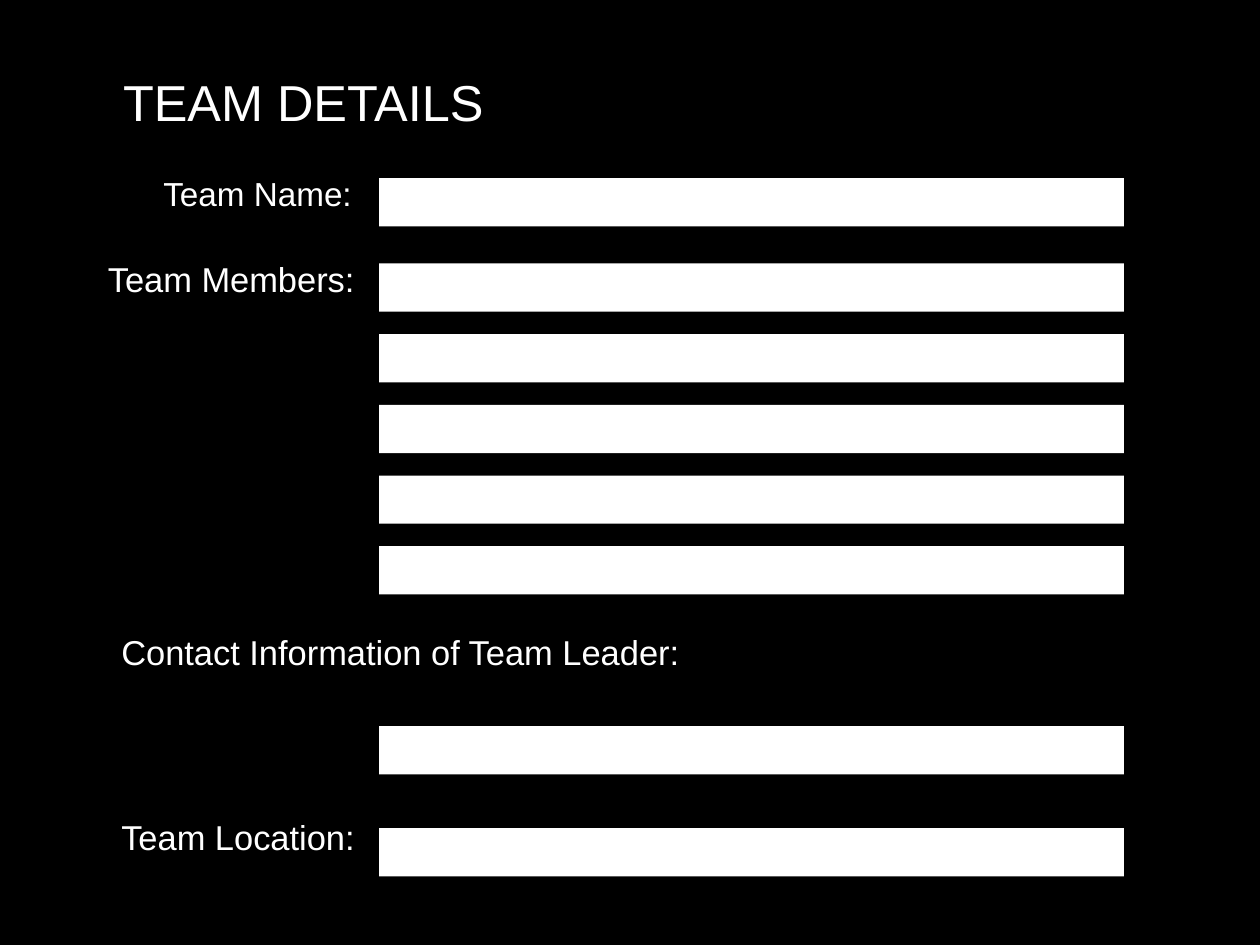
from dataclasses import dataclass

from pptx import Presentation
from pptx import util as u
from pptx.dml.color import RGBColor
from pptx.enum import shapes, text


@dataclass(frozen=True)
class Theme:
    """Colours, font and type sizes of the form."""
    back: str = "000000"
    fore: str = "FFFFFF"
    font: str = "Arial"
    title: int = 41
    name: int = 27
    label: int = 28


class Form:
    """A slide divided into 100 columns and 100 rows."""

    def __init__(self, deck, theme):
        """Add a blank slide with the theme's background."""
        self.theme = theme
        self.col = deck.slide_width / 100
        self.row = deck.slide_height / 100
        self.slide = deck.slides.add_slide(deck.slide_layouts[6])
        self.paint(self.slide.background.fill, theme.back)

    def paint(self, fill, tone):
        """Make a fill solid in one colour."""
        fill.solid()
        fill.fore_color.rgb = RGBColor.from_string(tone)

    def place(self, x, y, w, h):
        """Turn columns and rows into lengths."""
        return [round(n) for n in (x * self.col, y * self.row, w * self.col, h * self.row)]

    def style(self, item, form):
        """Set attributes from a dict of format values."""
        for key, value in form.items():
            setattr(item, key, value)

    def label(self, words, area, size, align=text.PP_ALIGN.LEFT,
              anchor=text.MSO_ANCHOR.TOP):
        """Write one line of text without margins."""
        frame = self.slide.shapes.add_textbox(*self.place(*area)).text_frame
        self.style(frame, dict(word_wrap=True, vertical_anchor=anchor,
                               margin_left=0, margin_right=0,
                               margin_top=0, margin_bottom=0))
        para = frame.paragraphs[0]
        para.alignment = align
        run = para.add_run()
        run.text = words
        self.style(run.font, dict(name=self.theme.font, size=u.Pt(size)))
        run.font.color.rgb = RGBColor.from_string(self.theme.fore)

    def field(self, y):
        """Draw one blank entry bar at a row."""
        bar = self.slide.shapes.add_shape(
            shapes.MSO_SHAPE.RECTANGLE, *self.place(30.1, y, 59.1, 5.1))
        bar.shadow.inherit = False
        self.paint(bar.fill, self.theme.fore)
        bar.line.fill.background()


def main():
    """Build the team details form."""
    deck = Presentation()
    deck.slide_width, deck.slide_height = u.Inches(14.22), u.Inches(10.66)
    theme = Theme()
    form = Form(deck, theme)
    right, even = text.PP_ALIGN.RIGHT, text.PP_ALIGN.JUSTIFY

    members = [27.88 + 7.48 * n for n in range(5)]
    for y in (18.86, *members, 76.84, 87.64):
        form.field(y)

    form.label("TEAM DETAILS", (9.77, 6.57, 80.45, 7.32), theme.title,
               anchor=text.MSO_ANCHOR.BOTTOM)
    for words, area, size, align in (
        ("Team Name:", (11.81, 18.29, 16.1, 6.66), theme.name, right),
        ("Team Members:", (6.4, 27.3, 21.73, 6.66), theme.label, right),
        ("Contact Information of Team Leader:", (9.63, 66.79, 79.11, 8.07),
         theme.label, even),
        ("Team Location:", (9.63, 86.3, 20, 6.66), theme.label, even),
    ):
        form.label(words, area, size, align)

    deck.save("out.pptx")


if __name__ == "__main__":
    main()
